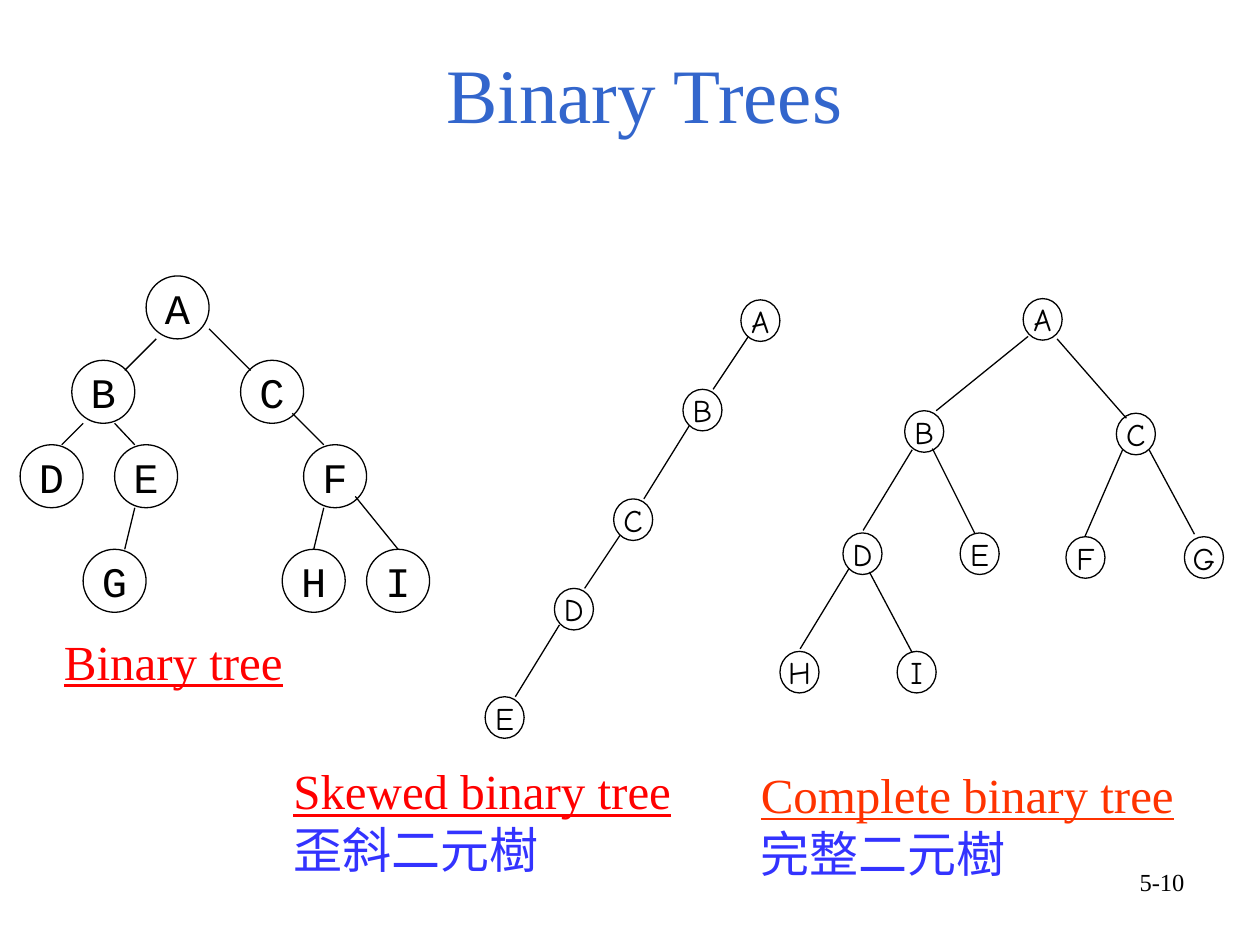
"""Build a slide that compares a binary tree, a skewed one and a complete one."""
from dataclasses import dataclass
from typing import NamedTuple

from lxml.etree import SubElement
from pptx import Presentation
from pptx.dml.color import RGBColor
from pptx.enum.shapes import MSO_CONNECTOR as Connector, MSO_SHAPE as Preset
from pptx.enum.text import MSO_ANCHOR as Anchor, PP_ALIGN as Align
from pptx.oxml.ns import qn
from pptx.util import Inches, Pt


@dataclass(frozen=True)
class Theme:
    serif: str = "Times New Roman"
    mono: str = "Courier New"
    comic: str = "Comic Neue"
    title_size: int = 44
    caption_size: int = 28
    large_node_size: int = 24
    small_node_size: int = 18
    number_size: int = 14
    line_width: float = 0.75
    black: RGBColor = RGBColor(0x00, 0x00, 0x00)
    title_blue: RGBColor = RGBColor(0x33, 0x66, 0xCC)
    chinese_blue: RGBColor = RGBColor(0x33, 0x33, 0xFF)
    red: RGBColor = RGBColor(0xFF, 0x00, 0x00)
    orange: RGBColor = RGBColor(0xFF, 0x33, 0x00)


THEME = Theme()


class Box(NamedTuple):
    left: float
    top: float
    width: float
    height: float


class Node(NamedTuple):
    label: str
    left: float
    top: float


class Edge(NamedTuple):
    start_x: float
    start_y: float
    end_x: float
    end_y: float


class Line(NamedTuple):
    text: str
    size: int
    color: RGBColor
    underline: bool = False


@dataclass(frozen=True)
class Tree:
    node_width: float
    node_height: float
    font: str
    size: int
    nodes: list[Node]
    edges: list[Edge]


@dataclass(frozen=True)
class TextBlock:
    box: Box
    lines: list[Line]
    align: Align = Align.LEFT
    anchor: Anchor = Anchor.TOP


SKEWED = Tree(
    0.31, 0.33, THEME.comic, THEME.small_node_size,
    [Node("A", 5.88, 2.38), Node("B", 5.42, 3.09), Node("C", 4.87, 3.96),
     Node("D", 4.4, 4.67), Node("E", 3.85, 5.53)],
    [Edge(5.94, 2.67, 5.66, 3.09), Edge(5.47, 3.38, 5.11, 3.96),
     Edge(4.92, 4.25, 4.64, 4.67), Edge(4.44, 4.96, 4.09, 5.53)],
)
COMPLETE = Tree(
    0.31, 0.33, THEME.comic, THEME.small_node_size,
    [Node("A", 8.12, 2.37), Node("B", 7.18, 3.26), Node("C", 8.86, 3.28),
     Node("D", 6.69, 4.23), Node("E", 7.62, 4.23), Node("F", 8.46, 4.26),
     Node("G", 9.4, 4.26), Node("H", 6.19, 5.17), Node("I", 7.12, 5.17)],
    [Edge(8.16, 2.67, 7.43, 3.26), Edge(8.39, 2.69, 8.94, 3.32),
     Edge(7.24, 3.57, 6.85, 4.21), Edge(7.4, 3.56, 7.74, 4.24),
     Edge(8.91, 3.57, 8.61, 4.26), Edge(9.12, 3.57, 9.48, 4.24),
     Edge(6.74, 4.51, 6.35, 5.15), Edge(6.9, 4.54, 7.24, 5.18)],
)
GENERAL = Tree(
    0.5, 0.5, THEME.mono, THEME.large_node_size,
    [Node("A", 1.16, 2.19), Node("B", 0.57, 2.86), Node("C", 1.91, 2.86),
     Node("D", 0.16, 3.53), Node("E", 0.91, 3.53), Node("F", 2.41, 3.53),
     Node("G", 0.66, 4.36), Node("H", 2.24, 4.36), Node("I", 2.91, 4.36)],
    [Edge(1.24, 2.69, 0.99, 2.94), Edge(1.66, 2.61, 1.99, 2.94),
     Edge(0.66, 3.36, 0.49, 3.53), Edge(0.91, 3.36, 1.07, 3.53),
     Edge(2.32, 3.28, 2.57, 3.53), Edge(1.07, 4.03, 0.99, 4.36),
     Edge(2.57, 4.03, 2.49, 4.36), Edge(2.82, 3.94, 3.16, 4.36)],
)
TEXT_BLOCKS = [
    TextBlock(Box(0.75, 0.38, 8.73, 0.77),
              [Line("Binary Trees", THEME.title_size, THEME.title_blue)],
              Align.CENTER, Anchor.BOTTOM),
    TextBlock(Box(2.23, 5.99, 3.23, 1.04),
              [Line("Skewed binary tree", THEME.caption_size, THEME.red, True),
               Line("歪斜二元樹", THEME.caption_size, THEME.chinese_blue)]),
    TextBlock(Box(5.94, 6.02, 3.63, 1.04),
              [Line("Complete binary tree", THEME.caption_size, THEME.orange, True),
               Line("完整二元樹", THEME.caption_size, THEME.chinese_blue)]),
    TextBlock(Box(0.41, 4.96, 3.23, 0.57),
              [Line("Binary tree", THEME.caption_size, THEME.red, True)]),
    TextBlock(Box(7.17, 6.83, 2.33, 0.52),
              [Line("5-10", THEME.number_size, THEME.black)], Align.RIGHT),
]


def add_line(paragraph, line: Line, font: str, align: Align) -> None:
    paragraph.alignment = align
    run = paragraph.add_run()
    run.text = line.text
    run.font.name = font
    run.font.size = Pt(line.size)
    run.font.color.rgb = line.color
    run.font.underline = line.underline


def add_text_block(slide, block: TextBlock) -> None:
    frame = slide.shapes.add_textbox(*map(Inches, block.box)).text_frame
    frame.word_wrap = True
    frame.vertical_anchor = block.anchor
    for index, line in enumerate(block.lines):
        paragraph = frame.add_paragraph() if index else frame.paragraphs[0]
        add_line(paragraph, line, THEME.serif, block.align)


def style_outline(shape) -> None:
    shape.line.color.rgb = THEME.black
    shape.line.width = Pt(THEME.line_width)


def add_node(group, node: Node, tree: Tree) -> None:
    box = Box(node.left, node.top, tree.node_width, tree.node_height)
    shape = group.shapes.add_shape(Preset.OVAL, *map(Inches, box))
    shape.shadow.inherit = False
    shape.fill.background()
    style_outline(shape)
    frame = shape.text_frame
    frame.word_wrap = False
    frame.vertical_anchor = Anchor.MIDDLE
    label = Line(node.label, tree.size, THEME.black)
    add_line(frame.paragraphs[0], label, tree.font, Align.CENTER)


def add_edge(group, edge: Edge) -> None:
    connector = group.shapes.add_connector(Connector.STRAIGHT, *map(Inches, edge))
    style_outline(connector)
    SubElement(connector._element.spPr, qn("a:effectLst"))


def add_tree(slide, tree: Tree) -> None:
    group = slide.shapes.add_group_shape()
    for node in tree.nodes:
        add_node(group, node, tree)
    for edge in tree.edges:
        add_edge(group, edge)


def main() -> None:
    presentation = Presentation()
    presentation.slide_width = Inches(10)
    presentation.slide_height = Inches(7.5)
    slide = presentation.slides.add_slide(presentation.slide_layouts[6])
    for tree in (SKEWED, COMPLETE, GENERAL):
        add_tree(slide, tree)
    for block in TEXT_BLOCKS:
        add_text_block(slide, block)
    presentation.save("out.pptx")


if __name__ == "__main__":
    main()
